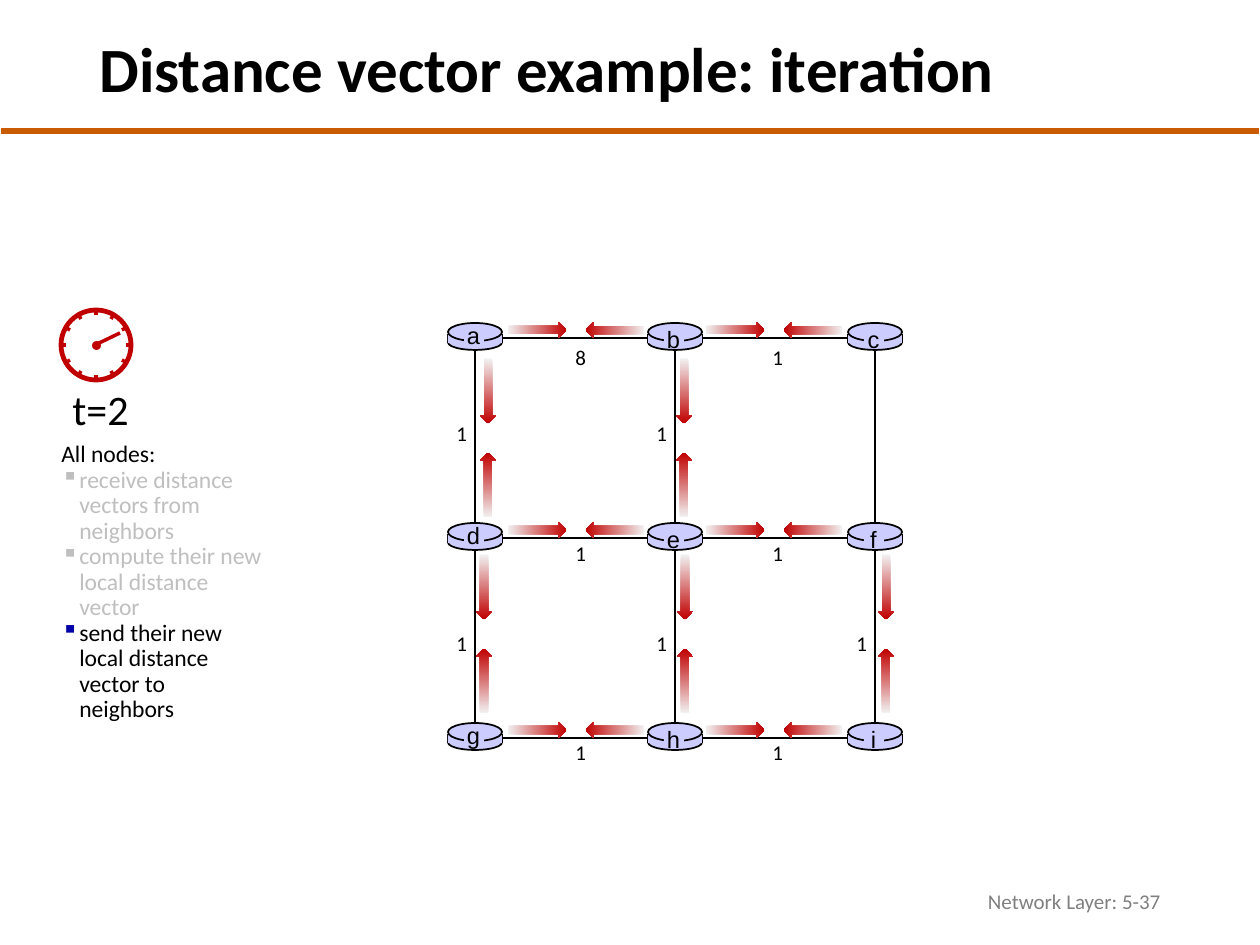
from math import cos, radians, sin

from lxml import etree
from pptx import Presentation
from pptx.dml.color import RGBColor
from pptx.enum.shapes import MSO_CONNECTOR, MSO_SHAPE
from pptx.enum.text import MSO_ANCHOR, PP_ALIGN
from pptx.oxml.ns import qn
from pptx.util import Emu, Pt

LINE = MSO_CONNECTOR.STRAIGHT
RECT, OVAL, ARROW = MSO_SHAPE.RECTANGLE, MSO_SHAPE.OVAL, MSO_SHAPE.RIGHT_ARROW
TOP, MIDDLE = MSO_ANCHOR.TOP, MSO_ANCHOR.MIDDLE
LEFT, CENTER, RIGHT = PP_ALIGN.LEFT, PP_ALIGN.CENTER, PP_ALIGN.RIGHT

BLACK, RED, PALE, LILAC = "000000", "C00000", "F2F2F2", "CCCCFF"
ORANGE, GRAY, FADED, BLUE = "C95B00", "808080", "BFBFBF", "0000A8"

TITLE = "Distance vector example: iteration"
FOOTER = "Network Layer: 5-37"
TIME = "t=2"
STEPS_HEADING = "All nodes:"
STEPS = [
    ("receive distance vectors from neighbors", FADED, FADED),
    ("compute their new local distance vector", FADED, FADED),
    ("send their new local distance vector to neighbors", BLACK, BLUE),
]

ROUTERS = ["abc", "def", "ghi"]
GRID_LEFT, GRID_TOP, STEP = 475, 338, 200
LETTER_RISE = {"a": 23, "d": 23, "g": 23}
ACROSS_COSTS = [(0, 0, "8"), (0, 1, "1"), (1, 0, "1"), (1, 1, "1"), (2, 0, "1"), (2, 1, "1")]
ACROSS_LABEL_X = [88, 85]
ACROSS_LABEL_Y = [0, -4, -5]
ACROSS_START = [32, 30]
DOWN_COSTS = [(0, 0, "1", 13), (0, 1, "1", 9), (1, 0, "1", 9), (1, 1, "1", 10), (1, 2, "1", 11)]
DOWN_LABEL_Y = [76, 86]
DOWN_START = [53, 49]

CLOCK_X, CLOCK_Y, CLOCK_RADIUS = 96, 345, 35


def px(length):
    return Emu(round(length * 914400 / 126))


def color(value):
    return RGBColor.from_string(value)


def add_line(shapes, start, end, ink=BLACK, width=1):
    line = shapes.add_connector(LINE, *map(px, start + end))
    line.line.color.rgb = color(ink)
    line.line.width = Pt(width)
    etree.SubElement(line._element.spPr, qn("a:effectLst"))


def add_shape(shapes, kind, left, top, width, height, fill=None, ink=None, weight=1):
    shape = shapes.add_shape(kind, px(left), px(top), px(width), px(height))
    shape.shadow.inherit = False
    if fill:
        shape.fill.solid()
        shape.fill.fore_color.rgb = color(fill)
    else:
        shape.fill.background()
    if ink:
        shape.line.color.rgb = color(ink)
        shape.line.width = Pt(weight)
    else:
        shape.line.fill.background()
    return shape


def style(paragraph, text, size, ink=BLACK, font="Calibri", bold=False):
    paragraph.text = text
    paragraph.font.name = font
    paragraph.font.size = Pt(size)
    paragraph.font.bold = bold
    paragraph.font.color.rgb = color(ink)


def add_text(shapes, text, left, top, width, height, size, ink=BLACK, font="Calibri",
             bold=False, align=LEFT, anchor=TOP, wrap=False, spacing=None):
    box = shapes.add_textbox(px(left), px(top), px(width), px(height))
    frame = box.text_frame
    frame.word_wrap = wrap
    frame.vertical_anchor = anchor
    paragraph = frame.paragraphs[0]
    paragraph.alignment = align
    if spacing:
        paragraph.line_spacing = spacing
    style(paragraph, text, size, ink, font, bold)
    return frame


def add_arrow(shapes, center_x, center_y, length, turn):
    arrow = add_shape(shapes, ARROW, center_x - length / 2, center_y - 8, length, 16)
    arrow.fill.gradient()
    arrow.fill.gradient_angle = 0
    for stop, shade in zip(arrow.fill.gradient_stops, (PALE, RED)):
        stop.color.rgb = color(shade)
    for stop, position in zip(arrow.fill.gradient_stops, (0, 1)):
        stop.position = position
    arrow.rotation = turn


def node_at(row, column):
    return GRID_LEFT + column * STEP, GRID_TOP + row * STEP


def add_router(page, letter, x, y):
    shapes = page.shapes.add_group_shape().shapes
    add_shape(shapes, OVAL, x - 27, y - 3, 54, 15, LILAC, BLACK)
    for side in (x - 27, x + 27):
        add_line(shapes, (side, y - 4), (side, y + 5))
    add_shape(shapes, RECT, x - 27, y - 4, 54, 9, LILAC)
    add_shape(shapes, OVAL, x - 27, y - 15, 54, 18, LILAC, BLACK)
    add_shape(shapes, RECT, x - 11, y - 10, 20, 19, LILAC)
    add_text(shapes, letter, x - 21, y - LETTER_RISE.get(letter, 19), 39, 41, 13.5,
             font="Arial", align=CENTER)


def add_network(page):
    shapes = page.shapes
    left, top = node_at(0, 0)
    middle_x, middle_y = node_at(1, 1)
    right, bottom = node_at(2, 2)
    add_line(shapes, (middle_x, bottom), (middle_x, top))
    add_line(shapes, (left, middle_y), (right, middle_y))
    add_shape(shapes, RECT, left, top, right - left, bottom - top, ink=BLACK)

    for row, column, cost in ACROSS_COSTS:
        x, y = node_at(row, column)
        add_text(shapes, cost, x + ACROSS_LABEL_X[column], y + ACROSS_LABEL_Y[row], 34, 38, 12)
        first = x + ACROSS_START[column] + 30
        add_arrow(shapes, first, y - 8, 59, 0)
        add_arrow(shapes, first + 78, y - 8, 59, 180)

    for row, column, cost, shift in DOWN_COSTS:
        x, y = node_at(row, column)
        add_text(shapes, cost, x - 31, y + DOWN_LABEL_Y[row], 34, 38, 12)
        first = y + DOWN_START[row]
        add_arrow(shapes, x + shift, first, 65, 90)
        add_arrow(shapes, x + shift, first + 94, 65, 270)

    for row, letters in enumerate(ROUTERS):
        for column, letter in enumerate(letters):
            add_router(page, letter, *node_at(row, column))


def add_clock(page):
    shapes = page.shapes.add_group_shape().shapes
    add_text(shapes, TIME, 60, 377, 82, 63, 24)
    add_shape(shapes, OVAL, CLOCK_X - CLOCK_RADIUS, CLOCK_Y - CLOCK_RADIUS,
              2 * CLOCK_RADIUS, 2 * CLOCK_RADIUS, ink=RED, weight=2.75)
    for hour in range(12):
        angle = radians(30 * hour)
        outer, inner = [(CLOCK_X + radius * cos(angle), CLOCK_Y + radius * sin(angle))
                        for radius in (CLOCK_RADIUS, CLOCK_RADIUS - 5)]
        add_line(shapes, outer, inner, RED, 2)
    add_shape(shapes, OVAL, CLOCK_X - 4, CLOCK_Y - 4, 9, 9, RED)
    add_line(shapes, (120, 333), (95, 345), RED, 2)


def add_steps(page):
    frame = add_text(page.shapes, STEPS_HEADING, 49, 436, 227, 296, 13.5,
                     wrap=True, spacing=0.9)
    for text, ink, bullet_ink in STEPS:
        paragraph = frame.add_paragraph()
        paragraph.line_spacing = 0.9
        properties = paragraph._p.get_or_add_pPr()
        properties.set("marL", str(px(18)))
        properties.set("indent", str(px(-18)))
        bullet_color = etree.SubElement(properties, qn("a:buClr"))
        etree.SubElement(bullet_color, qn("a:srgbClr"), val=bullet_ink)
        etree.SubElement(properties, qn("a:buChar"), char="▪")
        style(paragraph, text, 13.5, ink)


def main():
    deck = Presentation()
    deck.slide_width, deck.slide_height = px(1260), px(945)
    page = deck.slides.add_slide(deck.slide_layouts[6])
    add_line(page.shapes, (1, 131), (1259, 131), ORANGE, 3)
    add_text(page.shapes, TITLE, 87, 19, 999, 107, 36, bold=True,
             anchor=MIDDLE, wrap=True, spacing=0.9)
    add_text(page.shapes, FOOTER, 890, 876, 283, 50, 12, GRAY,
             align=RIGHT, anchor=MIDDLE, wrap=True)
    add_network(page)
    add_steps(page)
    add_clock(page)
    deck.save("out.pptx")


if __name__ == "__main__":
    main()
